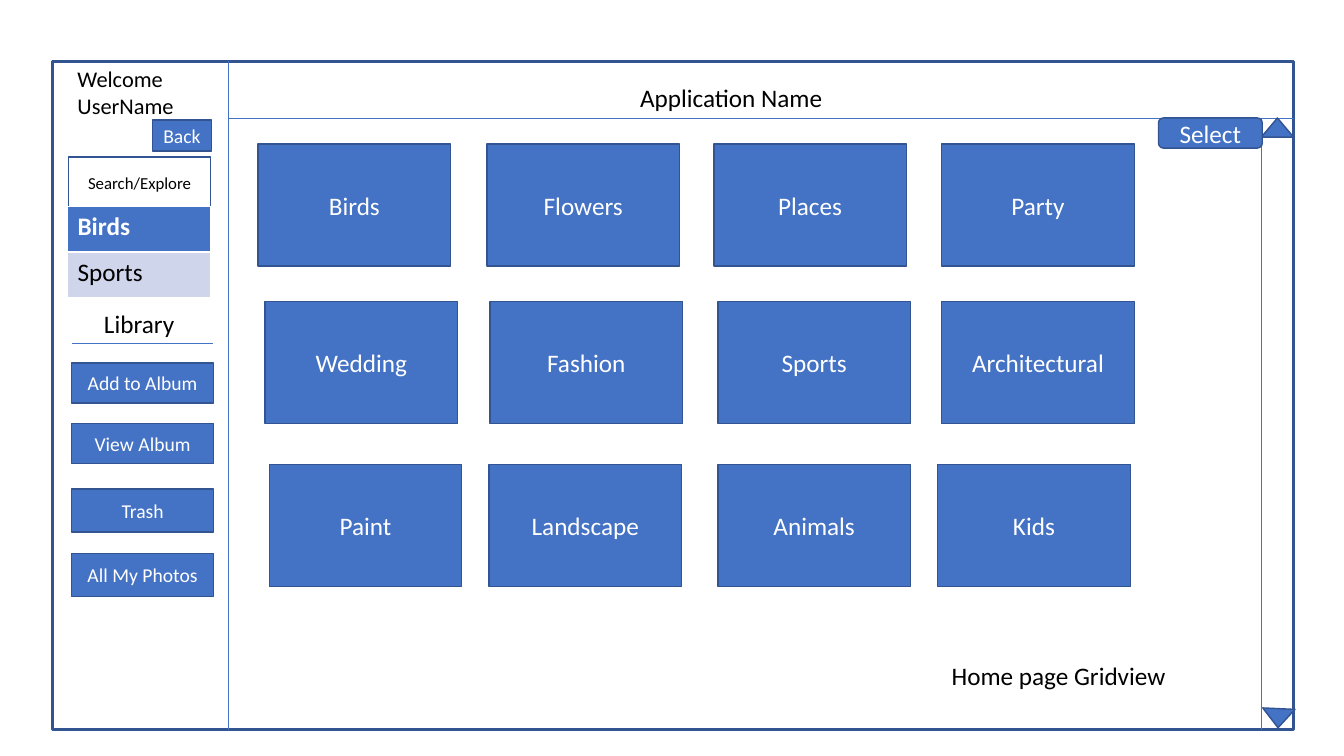
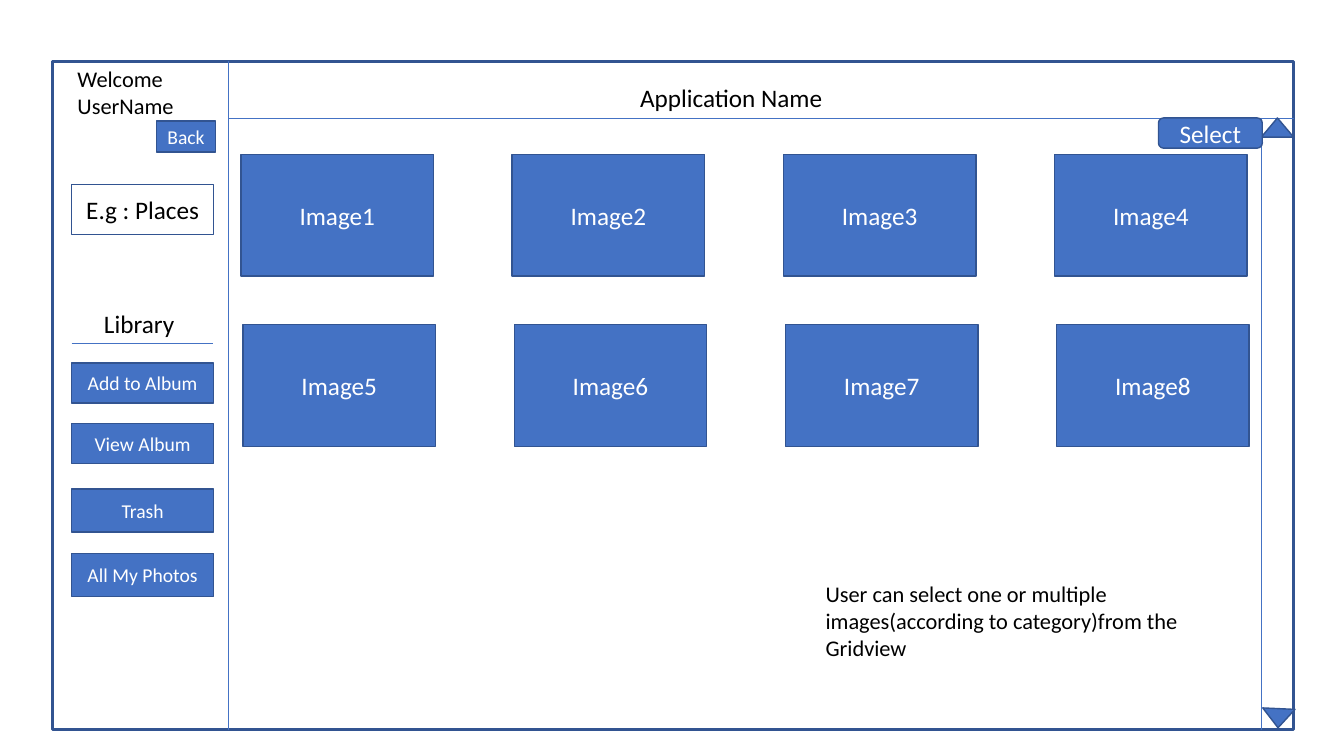
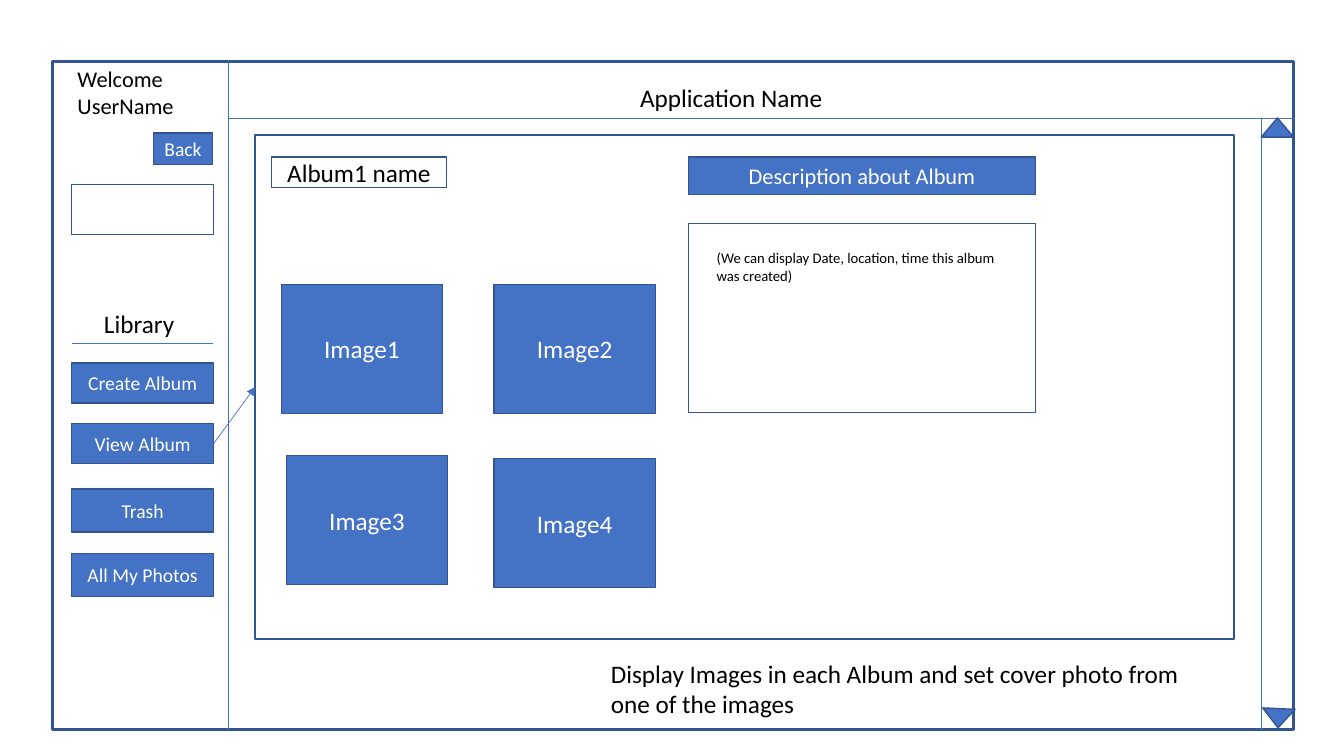
from lxml.etree import SubElement
from pptx import Presentation
from pptx.dml.color import RGBColor
from pptx.enum.shapes import MSO_CONNECTOR, MSO_SHAPE as Kind
from pptx.enum.text import MSO_ANCHOR, MSO_AUTO_SIZE, PP_ALIGN
from pptx.oxml.ns import qn
from pptx.util import Inches, Pt

BLUE = RGBColor(0x44, 0x72, 0xC4)
NAVY = RGBColor(0x32, 0x54, 0x91)
PALE = RGBColor(0xCF, 0xD5, 0xEA)
BLACK = RGBColor(0, 0, 0)
WHITE = RGBColor(0xFF, 0xFF, 0xFF)

FONT = "Calibri"
LEFT, TOP, RIGHT, BASE = 0.52, 0.61, 12.83, 7.24
SIDE, HEAD, SCROLL = 2.27, 1.17, 12.51
NAV, WIDE = 0.71, 1.41
TILE = (1.91, 1.21)
PHOTO = (1.6, 1.28)


def write(frame, text, size=18, color=BLACK, bold=False, align=PP_ALIGN.LEFT):
    para = frame.paragraphs[0]
    para.alignment = align
    run = para.add_run()
    run.text = text
    font = run.font
    font.name, font.size, font.bold = FONT, Pt(size), bold
    font.color.rgb = color


class Deck:
    """Holds the style and the current slide."""

    def __init__(self):
        self.file = Presentation()
        self.file.slide_width = Inches(13.33)
        self.file.slide_height = Inches(7.5)

    def start(self):
        self.slide = self.file.slides.add_slide(self.file.slide_layouts[6])

    def box(self, at, text="", size=18, fill=BLUE, kind=Kind.RECTANGLE, line=1):
        """Add an outlined shape; it is hollow when fill is None."""
        shape = self.slide.shapes.add_shape(kind, *map(Inches, at))
        shape.shadow.inherit = False
        if fill is None:
            shape.fill.background()
        else:
            shape.fill.solid()
            shape.fill.fore_color.rgb = fill
        shape.line.color.rgb = NAVY
        shape.line.width = Pt(line)
        if text:
            shape.text_frame.vertical_anchor = MSO_ANCHOR.MIDDLE
            write(shape.text_frame, text, size=size, align=PP_ALIGN.CENTER,
                  color=BLACK if fill is None else WHITE)
        return shape

    def label(self, at, text, **form):
        frame = self.slide.shapes.add_textbox(*map(Inches, at)).text_frame
        frame.word_wrap = True
        frame.auto_size = MSO_AUTO_SIZE.SHAPE_TO_FIT_TEXT
        write(frame, text, **form)

    def rule(self, *ends):
        line = self.slide.shapes.add_connector(
            MSO_CONNECTOR.STRAIGHT, *map(Inches, ends))
        line.line.color.rgb = BLUE
        line.line.width = Pt(0.5)
        SubElement(line._element.spPr, qn("a:effectLst"))
        return line

    def arrow(self, start, end):
        """Join the right side of start to the left side of end."""
        line = self.rule(0, 0, 1, 1)
        line.begin_connect(start, 3)
        line.end_connect(end, 1)
        SubElement(line.line._get_or_add_ln(), qn("a:tailEnd"), type="triangle")

    def row(self, top, lefts, names, size=TILE):
        for left, name in zip(lefts, names):
            self.box((left, top, *size), name)

    def table(self, at, rows):
        """Add a one-column table from (text, fill, color, bold) rows."""
        grid = self.slide.shapes.add_table(len(rows), 1, *map(Inches, at)).table
        for cell, (text, fill, color, bold) in zip(grid.iter_cells(), rows):
            cell.fill.solid()
            cell.fill.fore_color.rgb = fill
            write(cell.text_frame, text, color=color, bold=bold)

    def select(self):
        self.box((11.49, HEAD, 1.03, 0.3), "Select", kind=Kind.ROUNDED_RECTANGLE)

    def page(self, back, find, first="Add to Album"):
        """Start a slide with the app window; return the menu buttons by name."""
        self.start()
        self.box((LEFT, TOP, RIGHT - LEFT, BASE - TOP), fill=None, line=2.25)
        self.rule(SIDE, TOP, SIDE, BASE)
        self.rule(SIDE, HEAD, RIGHT, HEAD)
        self.rule(SCROLL, HEAD, SCROLL, BASE)
        self.label((0.67, 0.6, 1.45, 0.64), "Welcome UserName", size=16)
        self.label((6.25, 0.77, 2.47, 0.4), "Application Name")
        self.box((SCROLL, HEAD, 0.32, 0.19), kind=Kind.ISOSCELES_TRIANGLE)
        down = self.box((12.52, 7.03, 0.32, 0.19), kind=Kind.ISOSCELES_TRIANGLE)
        down.rotation = 182.6
        self.box((*back, 0.59, 0.31), "Back", size=14)
        left, top, text, size = find
        self.box((left, top, WIDE, 0.5), text, size=size, fill=None)
        self.label((NAV, 3.01, 1.34, 0.4), "Library", align=PP_ALIGN.CENTER)
        self.rule(NAV, 3.41, 2.11, 3.41)
        menu = ((first, 3.6, 0.4), ("View Album", 4.2, 0.4),
                ("Trash", 4.85, 0.43), ("All My Photos", 5.49, 0.43))
        return {name: self.box((NAV, top, WIDE, high), name, size=14)
                for name, top, high in menu}


def home(deck):
    deck.page((1.51, 1.19), (0.68, 1.56, "Search/Explore", 12))
    deck.select()
    deck.table((0.67, 2.05, 1.42, 0.9), (("Birds", BLUE, WHITE, True),
                                         ("Sports", PALE, BLACK, False)))
    deck.row(1.43, (2.56, 4.83, 7.08, 9.34),
             ("Birds", "Flowers", "Places", "Party"))
    deck.row(2.99, (2.63, 4.86, 7.12, 9.34),
             ("Wedding", "Fashion", "Sports", "Architectural"))
    deck.row(4.61, (2.67, 4.85, 7.12, 9.3),
             ("Paint", "Landscape", "Animals", "Kids"))
    deck.label((9.34, 6.5, 2.52, 0.4), "Home page Gridview")


def images(deck):
    deck.page((1.55, 1.2), (NAV, 1.83, "E.g : Places", 18))
    deck.select()
    for left, top, first in ((2.39, 1.53, 1), (2.41, 3.22, 5)):
        deck.row(top, [left + 2.69 * i for i in range(4)],
                 [f"Image{first + i}" for i in range(4)])
    deck.label((8.09, 5.71, 3.93, 0.91),
               "User can select one or multiple images(according to category)"
               "from the Gridview", size=16)


def album(deck):
    menu = deck.page((1.52, 1.32), (NAV, 1.83, "", 18), first="Create Album")
    panel = deck.box((2.53, 1.34, 9.71, 5), fill=None)
    deck.arrow(menu["View Album"], panel)
    deck.box((2.69, 1.56, 1.74, 0.3), "Album1 name", fill=None)
    deck.row(2.82, (2.79, 4.9), ("Image1", "Image2"), size=PHOTO)
    deck.row(4.52, (2.84,), ("Image3",), size=PHOTO)
    deck.row(4.55, (4.9,), ("Image4",), size=PHOTO)
    deck.box((6.83, 1.56, 3.44, 0.37), "Description about Album", size=16)
    deck.box((6.83, 2.22, 3.44, 1.87), fill=None)
    deck.label((7.01, 2.42, 3.01, 0.45),
               "(We can display Date, location, time this album was created)",
               size=10.5)
    deck.label((5.96, 6.48, 5.89, 0.71),
               "Display Images in each Album and set cover photo from one of "
               "the images")


def main():
    deck = Deck()
    for draw in (home, images, album):
        draw(deck)
    deck.file.save("out.pptx")


if __name__ == "__main__":
    main()
